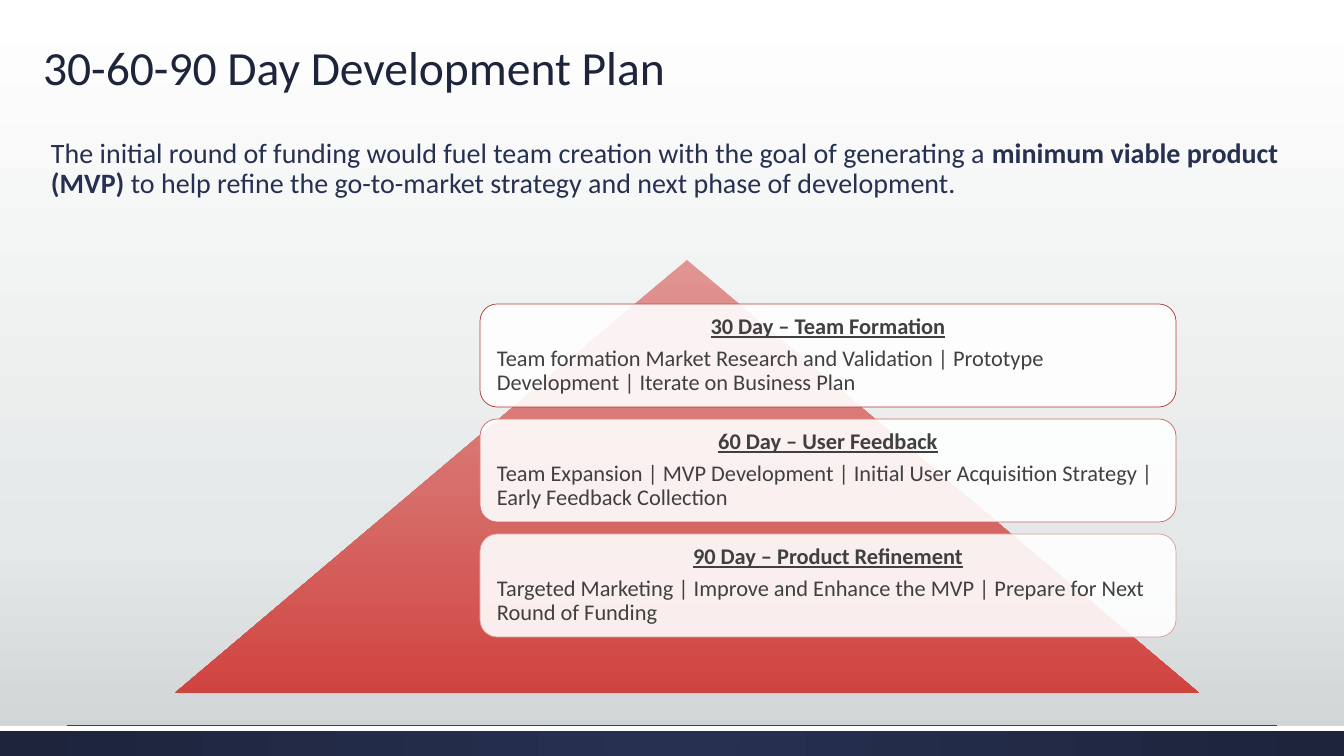
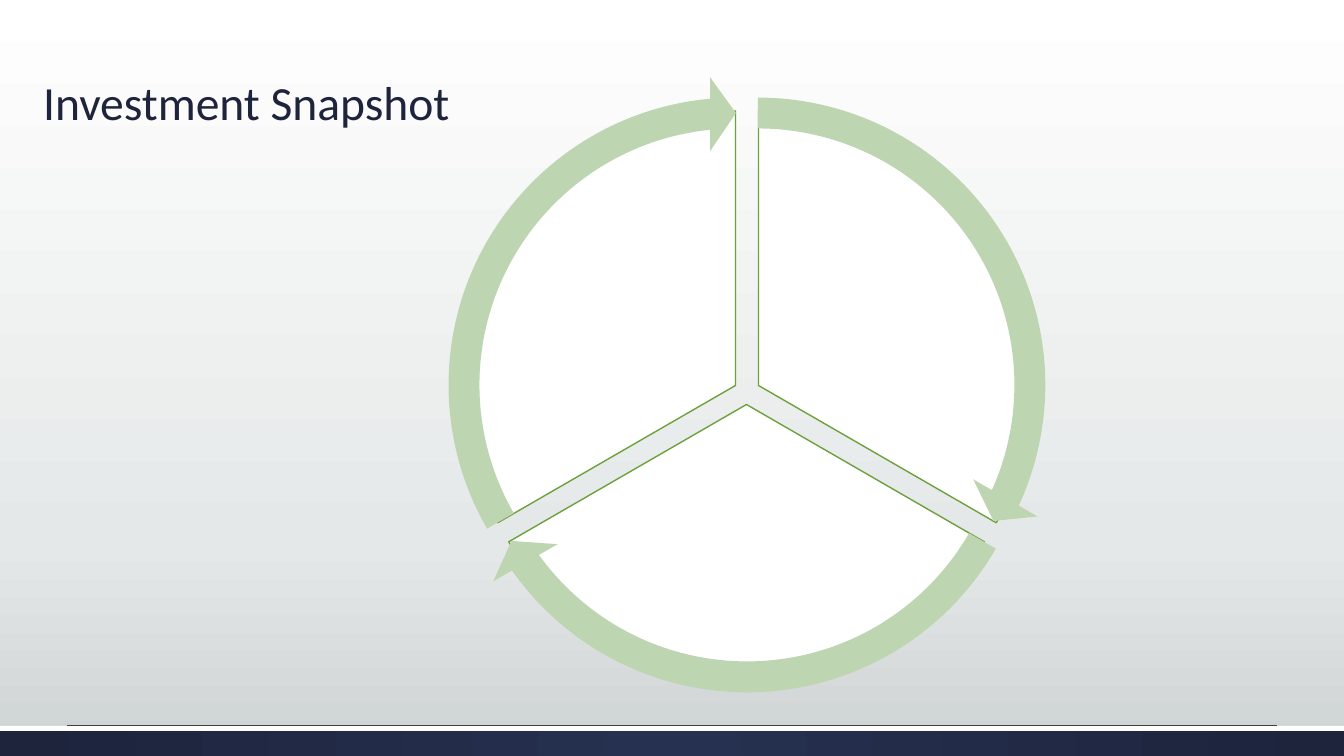
"""Build a development plan slide and an investment wheel slide."""
from copy import deepcopy
from math import cos, radians, sin

from lxml import etree
from pptx import Presentation
from pptx import util as u
from pptx.dml.color import RGBColor
from pptx.enum import shapes, text
from pptx.oxml.ns import qn

PX = 9072
FONT = "Calibri"
INK, NAVY, WHITE, GREY = "1D243C", "263050", "FFFFFF", "404040"
LEAF, SAGE = "6CA13C", "BDD5B0"
rgb = RGBColor.from_string


def add_gradient(fill, owner, stops):
    fill.gradient()
    fill.gradient_angle = 270
    stop_list = next(owner.iter(qn("a:gsLst")))
    while len(stop_list) < len(stops):
        stop_list.append(deepcopy(stop_list[0]))
    for stop, (position, colour) in zip(fill.gradient_stops, stops):
        stop.position = position
        stop.color.rgb = rgb(colour)
    return stop_list.getparent()


def add_figure(slide, kind, box, colour=WHITE, outline=None, weight=1):
    figure = slide.shapes.add_shape(kind, *[round(v) * PX for v in box])
    figure.shadow.inherit = False
    figure.fill.solid()
    figure.fill.fore_color.rgb = rgb(colour)
    if outline:
        figure.line.color.rgb = rgb(outline)
        figure.line.width = u.Pt(weight)
    else:
        figure.line.fill.background()
    return figure


prs = Presentation()
prs.slide_width, prs.slide_height = 1344 * PX, 756 * PX
master = prs.slide_master
add_gradient(master.background.fill, master.element,
             [(0, WHITE), (0.72, "E5E8E8"), (1, "CDD2D2")])

KIND = shapes.MSO_SHAPE
slides = []
for heading, title_top, title_height in [
    ("30-60-90 Day Development Plan", -25, 126),
    ("Investment Snapshot", 0, 136),
]:
    slide = prs.slides.add_slide(prs.slide_layouts[5])
    slides.append(slide)

    band = add_figure(slide, KIND.RECTANGLE, (0, 726, 1344, 30))
    glow = add_gradient(band.fill, band.element, [(0, NAVY), (1, INK)])
    glow.remove(glow.find(qn("a:lin")))
    circle = etree.SubElement(glow, qn("a:path"), {"path": "circle"})
    etree.SubElement(circle, qn("a:fillToRect"), dict.fromkeys("ltrb", "50000"))
    add_figure(slide, KIND.RECTANGLE, (0, 726, 1344, 5))

    rule = slide.shapes.add_connector(
        shapes.MSO_CONNECTOR.STRAIGHT, 67 * PX, 725 * PX, 1277 * PX, 725 * PX)
    rule.line.color.rgb = rgb(GREY)
    rule.line.width = u.Pt(0.5)
    etree.SubElement(rule.element.spPr, qn("a:effectLst"))

    title = slide.shapes.title
    title.left, title.top = 33 * PX, title_top * PX
    title.width, title.height = 1048 * PX, title_height * PX
    frame = title.text_frame
    frame.auto_size = text.MSO_AUTO_SIZE.NONE
    frame.vertical_anchor = text.MSO_ANCHOR.BOTTOM
    para = frame.paragraphs[0]
    para.alignment = text.PP_ALIGN.LEFT
    para.line_spacing = 0.9
    run = para.add_run()
    run.text = heading
    run.font.size = u.Pt(34)
    run.font.name = FONT
    run.font.color.rgb = rgb(INK)

plan, snapshot = slides

intro = plan.shapes.add_textbox(36 * PX, 134 * PX, 1281 * PX, 101 * PX).text_frame
intro.word_wrap = True
intro.margin_left = 15 * PX
para = intro.paragraphs[0]
para.line_spacing = 0.9
for words, bold in [
    ("The initial round of funding would fuel team creation with the goal of generating a ", False),
    ("minimum viable product (MVP) ", True),
    ("to help refine the go-to-market strategy and next phase of development.", False),
]:
    run = para.add_run()
    run.text = words
    run.font.size = u.Pt(20)
    run.font.name = FONT
    run.font.bold = bold
    run.font.color.rgb = rgb(NAVY)

pyramid = add_figure(plan, KIND.ISOSCELES_TRIANGLE, (175, 260, 1024, 433))
add_gradient(pyramid.fill, pyramid.element,
             [(0, "E19593"), (0.5, "D7706D"), (1, "D04440")])

phases = [
    ("30 Day – Team Formation",
     "Team formation Market Research and Validation | Prototype Development | Iterate on Business Plan",
     "B83835"),
    ("60 Day – User Feedback",
     "Team Expansion | MVP Development | Initial User Acquisition Strategy | Early Feedback Collection",
     "CE6765"),
    ("90 Day – Product Refinement",
     "Targeted Marketing | Improve and Enhance the MVP | Prepare for Next Round of Funding",
     "DC9E9D"),
]
for row, (phase, tasks, outline) in enumerate(phases):
    card = add_figure(plan, KIND.ROUNDED_RECTANGLE, (480, 304 + 115 * row, 696, 103),
                      WHITE, outline, 0.5)
    white = next(card.element.iter(qn("a:srgbClr")))
    etree.SubElement(white, qn("a:alpha"), {"val": "90000"})
    frame = card.text_frame
    frame.word_wrap = True
    frame.vertical_anchor = text.MSO_ANCHOR.MIDDLE
    frame.margin_left = frame.margin_right = 12 * PX
    frame.margin_top = frame.margin_bottom = 12 * PX
    for para, words, is_head in [
        (frame.paragraphs[0], phase, True),
        (frame.add_paragraph(), tasks, False),
    ]:
        para.alignment = text.PP_ALIGN.CENTER if is_head else text.PP_ALIGN.LEFT
        para.line_spacing = 0.9
        para.space_after = u.Pt(5.6)
        run = para.add_run()
        run.text = words
        run.font.size = u.Pt(16)
        run.font.name = FONT
        run.font.bold = run.font.underline = is_head
        run.font.color.rgb = rgb(GREY)

HUB_X, HUB_Y, SPREAD = 747, 392, 13
DEGREE = 0.6
starts = [270, 30, 150]
for kind, size, colour, outline in [
    (KIND.PIE, 549, WHITE, LEAF),
    (KIND.CIRCULAR_ARROW, 618, SAGE, None),
]:
    for start in starts:
        middle = radians(start + 60)
        left = HUB_X + SPREAD * cos(middle) - size / 2
        top = HUB_Y + SPREAD * sin(middle) - size / 2
        sector = add_figure(snapshot, kind, (left, top, size, size), colour, outline)
        if kind == KIND.PIE:
            settings = [start * DEGREE, (start + 120) % 360 * DEGREE]
        else:
            tip = (start + 114.54) % 360
            settings = [0.05, 5.46 * DEGREE, tip * DEGREE, start * DEGREE, 0.06]
        for index, value in enumerate(settings):
            sector.adjustments[index] = value

prs.save("out.pptx")
